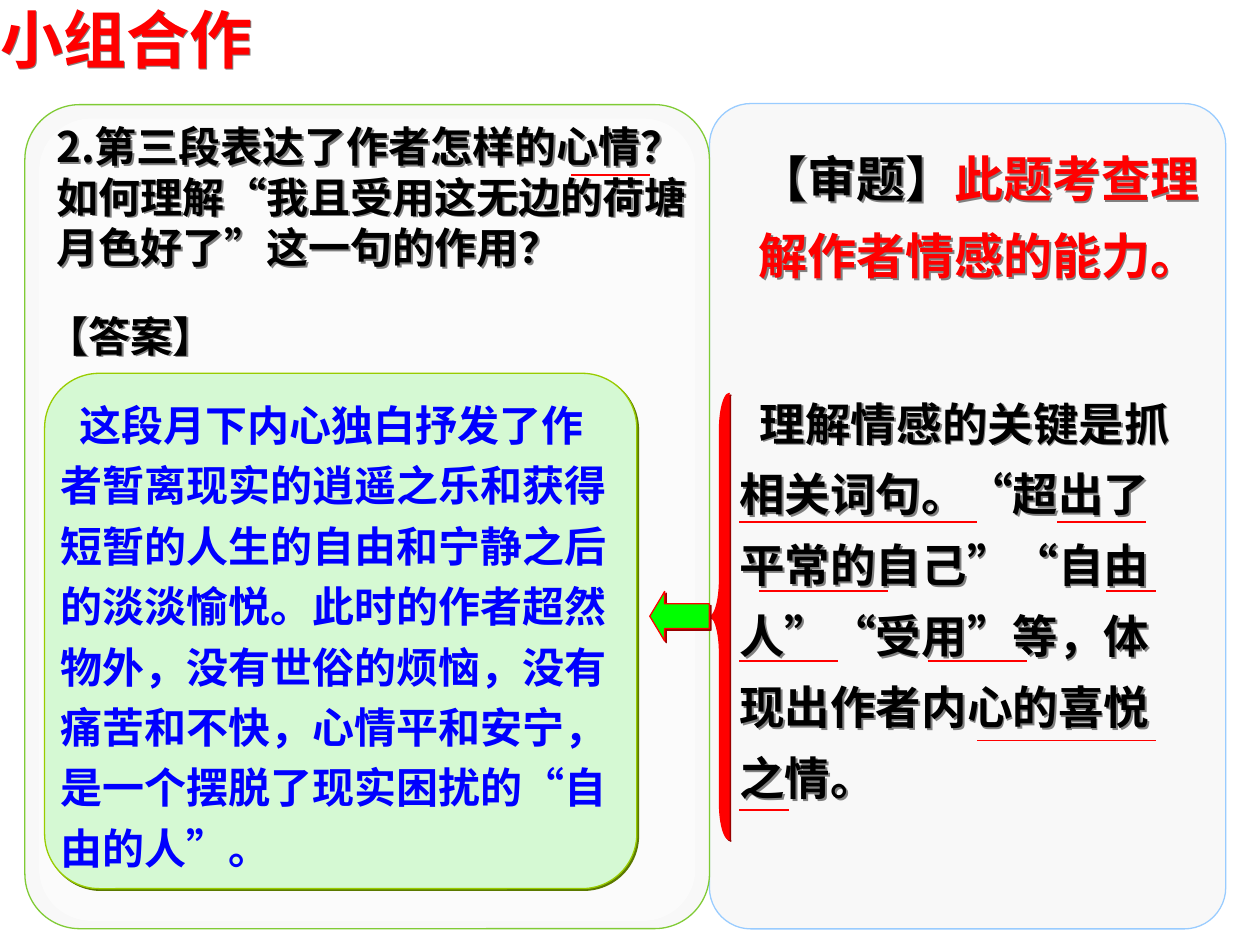
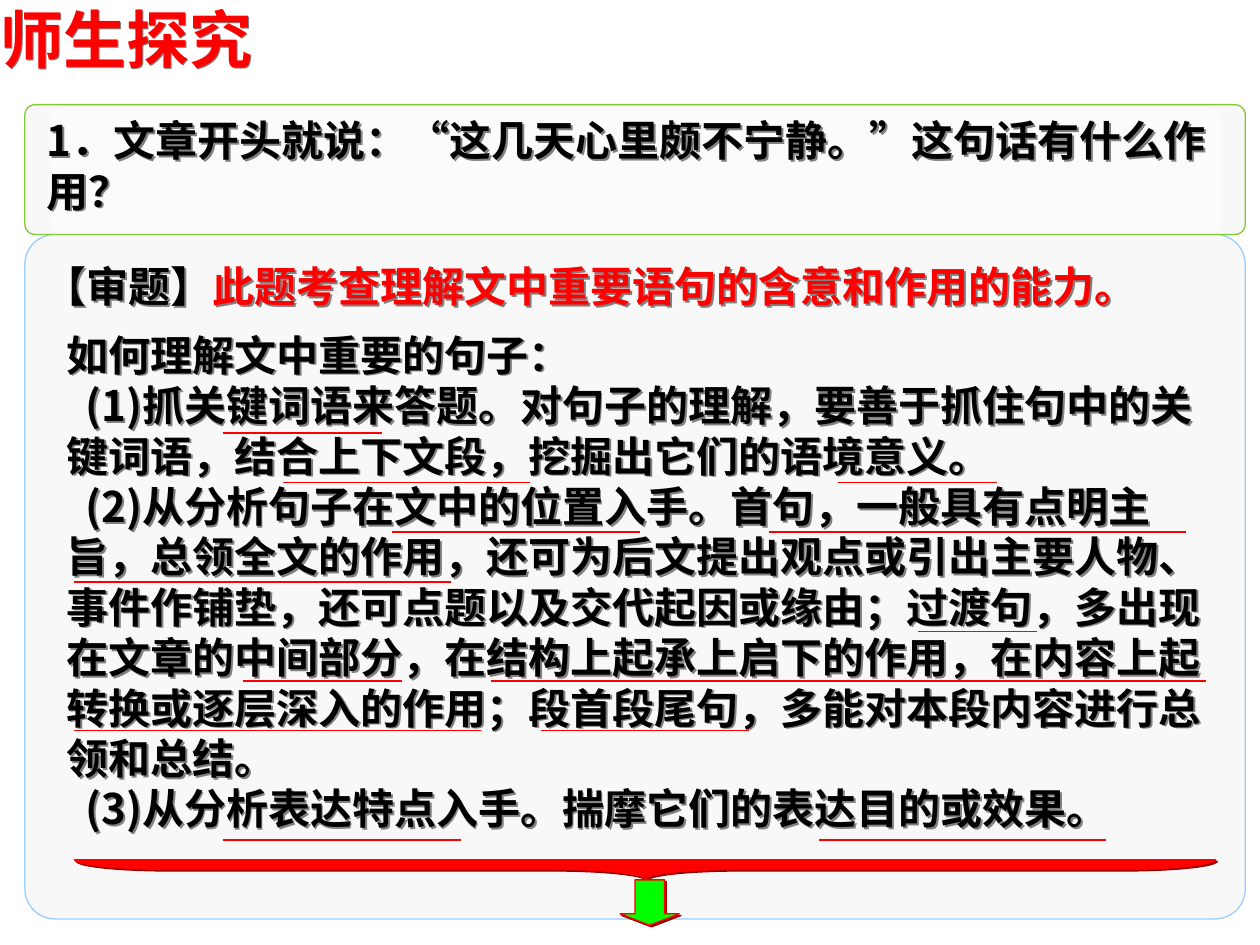
from dataclasses import dataclass
from typing import NamedTuple

from lxml.etree import SubElement
from pptx import Presentation
from pptx.dml.color import RGBColor
from pptx.enum.lang import MSO_LANGUAGE_ID as Language
from pptx.enum.shapes import MSO_CONNECTOR as Connector, MSO_SHAPE as Preset
from pptx.enum.text import MSO_ANCHOR as Anchor, MSO_AUTO_SIZE as AutoSize, PP_ALIGN as Align
from pptx.oxml import parse_xml
from pptx.oxml.ns import nsdecls, qn
from pptx.util import Pt

COLORS = {
    "red": "FF0000",
    "dark_red": "980000",
    "black": "000000",
    "gray": "808080",
    "blue": "0000FF",
    "green": "00FF00",
    "panel": "F8F8F8",
    "white": "FFFFFF",
    "leaf": "80CB35",
    "sky": "99CCFF",
    "mint": "D5F9D3",
    "olive": "99CC00",
    "dark_olive": "5B7900",
}
CJK_FONT = "Noto Sans CJK SC"
LATIN_FONT = "Arial"
INDENT_PER_POINT = 0.45


class Box(NamedTuple):
    left: float
    top: float
    width: float
    height: float


class Piece(NamedTuple):
    text: str
    color: str = "black"


class Line(NamedTuple):
    pieces: list[Piece]
    indented: bool = False


@dataclass(frozen=True)
class TextStyle:
    size: float = 24
    font: str = CJK_FONT
    spacing: float = 1.0
    anchor: Anchor = Anchor.TOP
    inset_x: float = 7.2
    inset_y: float = 3.6


@dataclass(frozen=True)
class Figure:
    preset: Preset
    box: Box
    fill: str
    line: str | None = None
    adjustments: tuple[float, ...] = ()
    shadow: str | None = None
    alpha: int = 100
    rotation: float = 0


TITLE = TextStyle(size=36, font=LATIN_FONT, inset_x=0, inset_y=0)
TITLE_BOX = Box(0, 0, 241.2, 43.2)
QUESTION = TextStyle(anchor=Anchor.MIDDLE)
TASK_LABEL = "【审题】"


def rgb(name: str) -> RGBColor:
    return RGBColor.from_string(COLORS[name])


def set_shadow(shape, color: str | None) -> None:
    shape.shadow.inherit = False
    if color:
        effects = shape._element.spPr.find(qn("a:effectLst"))
        shadow = SubElement(effects, qn("a:outerShdw"), dist=str(Pt(1.4)), dir="2700000",
                            algn="tl", rotWithShape="0")
        SubElement(shadow, qn("a:srgbClr"), val=COLORS[color])


def add_run(paragraph, piece: Piece, style: TextStyle) -> None:
    run = paragraph.add_run()
    run.text = piece.text
    font = run.font
    font.size = Pt(style.size)
    font.bold = True
    font.name = style.font
    font.language_id = Language.SIMPLIFIED_CHINESE
    font.color.rgb = rgb(piece.color)
    east_asian = parse_xml(f'<a:ea {nsdecls("a")} typeface="{CJK_FONT}"/>')
    run._r.get_or_add_rPr().find(qn("a:latin")).addnext(east_asian)


def write(shape, lines: list[Line], style: TextStyle) -> None:
    frame = shape.text_frame
    frame.word_wrap = True
    frame.auto_size = AutoSize.NONE
    frame.vertical_anchor = style.anchor
    frame.margin_left = frame.margin_right = Pt(style.inset_x)
    frame.margin_top = frame.margin_bottom = Pt(style.inset_y)
    for index, line in enumerate(lines):
        paragraph = frame.add_paragraph() if index else frame.paragraphs[0]
        indent = style.size * INDENT_PER_POINT if line.indented else 0
        properties = paragraph._p.get_or_add_pPr()
        properties.set("marL", "0")
        properties.set("indent", str(Pt(indent)))
        properties.set("hangingPunct", "0")
        SubElement(properties, qn("a:buNone"))
        paragraph.alignment = Align.LEFT
        paragraph.line_spacing = style.spacing
        paragraph.space_before = Pt(0)
        for piece in line.pieces:
            add_run(paragraph, piece, style)


def write_shadowed(shape, lines: list[Line], style: TextStyle) -> None:
    shape.fill.background()
    set_shadow(shape, "gray")
    write(shape, lines, style)


def add_text(slide, box: Box, lines: list[Line], style: TextStyle) -> None:
    write_shadowed(slide.shapes.add_textbox(*map(Pt, box)), lines, style)


def fill_placeholder(slide, placeholder, box: Box, lines: list[Line], style: TextStyle) -> None:
    slide.shapes._spTree.append(placeholder._element)
    placeholder.left, placeholder.top, placeholder.width, placeholder.height = map(Pt, box)
    write_shadowed(placeholder, lines, style)


def add_title(slide, text: str) -> None:
    fill_placeholder(slide, slide.shapes.title, TITLE_BOX, [Line([Piece(text, "red")])], TITLE)


def add_figure(slide, figure: Figure):
    shape = slide.shapes.add_shape(figure.preset, *map(Pt, figure.box))
    shape.rotation = figure.rotation
    for index, value in enumerate(figure.adjustments):
        shape.adjustments[index] = value
    shape.fill.solid()
    shape.fill.fore_color.rgb = rgb(figure.fill)
    if figure.alpha < 100:
        color = shape._element.spPr.find(qn("a:solidFill"))[0]
        SubElement(color, qn("a:alpha"), val=str(figure.alpha * 1000))
    if figure.line:
        shape.line.color.rgb = rgb(figure.line)
        shape.line.width = Pt(0.75)
    else:
        shape.line.fill.background()
    set_shadow(shape, figure.shadow)
    return shape


def panel(box: Box, line: str, corner: float) -> Figure:
    return Figure(Preset.ROUNDED_RECTANGLE, box, "panel", line, (corner,))


def highlight(box: Box, corner: float) -> Figure:
    return Figure(Preset.ROUNDED_RECTANGLE, box, "white", None, (corner,), alpha=50)


def brace(box: Box, curve: float, rotation: float = 0) -> Figure:
    return Figure(Preset.LEFT_BRACE, box, "red", "red", (curve, 0.5), "dark_red", rotation=rotation)


def arrow(preset: Preset, box: Box, head: float) -> Figure:
    return Figure(preset, box, "green", "red", (0.5, head), "dark_red")


def add_underlines(slide, rows: dict[float, list[tuple[float, float]]]) -> None:
    for y, spans in rows.items():
        for start, end in spans:
            line = slide.shapes.add_connector(Connector.STRAIGHT, Pt(start), Pt(y), Pt(end), Pt(y))
            line.line.color.rgb = rgb("red")
            line.line.width = Pt(1)
            SubElement(line._element.spPr, qn("a:effectLst"))


def build_group_work(presentation) -> None:
    slide = presentation.slides.add_slide(presentation.slide_layouts[5])
    for figure in (
        panel(Box(405.4, 59.2, 295, 471.6), "sky", 0.08),
        panel(Box(14.2, 59.8, 391.2, 470.9), "leaf", 0.08),
        highlight(Box(22.3, 67.7, 375.1, 458.6), 0.08),
    ):
        add_figure(slide, figure)
    add_title(slide, "小组合作")
    add_text(slide, Box(25.2, 65.5, 385.9, 93.6), [Line([Piece(
        "2.第三段表达了作者怎样的心情？如何理解“我且受用这无边的荷塘月色好了”这一句的作用？"
    )])], QUESTION)
    answer = add_figure(slide, Figure(
        Preset.ROUNDED_RECTANGLE, Box(25.5, 213.3, 338.4, 294.5), "mint", "olive",
        (0.106,), "dark_olive"))
    write(answer, [Line([Piece(
        "这段月下内心独白抒发了作者暂离现实的逍遥之乐和获得短暂的人生的自由和宁静之后的"
        "淡淡愉悦。此时的作者超然物外，没有世俗的烦恼，没有痛苦和不快，心情平和安宁，"
        "是一个摆脱了现实困扰的“自由的人”。", "blue")], indented=True)],
        TextStyle(spacing=1.2, anchor=Anchor.MIDDLE, inset_x=0, inset_y=0))
    add_text(slide, Box(433.6, 71.5, 254.9, 95), [Line([
        Piece(TASK_LABEL), Piece("此题考查理解作者情感的能力。", "red")])],
        TextStyle(size=28, font=LATIN_FONT, spacing=1.3, inset_x=0))
    add_text(slide, Box(422.6, 213.1, 254.9, 250.6), [Line([Piece(
        "理解情感的关键是抓相关词句。“超出了平常的自己”“自由人”“受用”等，"
        "体现出作者内心的喜悦之情。")], indented=True)],
        TextStyle(size=26, spacing=1.3, inset_x=0))
    add_underlines(slide, {
        100.1: [(326.2, 371.5)],
        298.2: [(422.4, 558.4), (604.1, 654.8)],
        337.9: [(433.7, 507.6), (632.2, 660.4)],
        377.6: [(422.4, 478.8), (530.1, 586.8)],
        423.2: [(558.5, 660.4)],
        462.7: [(422.4, 450.7)],
    })
    add_figure(slide, brace(Box(405.4, 224.8, 11.5, 255), 1.83))
    add_figure(slide, arrow(Preset.LEFT_ARROW, Box(371.3, 338, 34, 28.3), 0.3))
    add_text(slide, Box(19.6, 173.7, 118.8, 36), [Line([Piece("【答案】")])],
             TextStyle(font=LATIN_FONT))


def build_inquiry(presentation) -> None:
    slide = presentation.slides.add_slide(presentation.slide_layouts[1])
    for figure in (
        panel(Box(14.2, 133.9, 697.4, 391.2), "sky", 0.044),
        panel(Box(14.2, 59.8, 697.4, 74.2), "leaf", 0.08),
        highlight(Box(28.8, 61.2, 668.9, 72), 0.08),
    ):
        add_figure(slide, figure)
    add_title(slide, "师生探究")
    add_text(slide, Box(19.6, 65.5, 686.2, 57.6), [Line([Piece(
        "1．文章开头就说：“这几天心里颇不宁静。”这句话有什么作用？")])],
        TextStyle(anchor=Anchor.MIDDLE, inset_y=0))
    add_text(slide, Box(25.4, 145.4, 663.1, 36), [Line([
        Piece(TASK_LABEL), Piece("此题考查理解文中重要语句的含意和作用的能力。", "red")])],
        TextStyle(font=LATIN_FONT, inset_x=0))
    methods = (
        "(1)抓关键词语来答题。对句子的理解，要善于抓住句中的关键词语，结合上下文段，"
        "挖掘出它们的语境意义。",
        "(2)从分析句子在文中的位置入手。首句，一般具有点明主旨，总领全文的作用，"
        "还可为后文提出观点或引出主要人物、事件作铺垫，还可点题以及交代起因或缘由；"
        "过渡句，多出现在文章的中间部分，在结构上起承上启下的作用，在内容上起转换或"
        "逐层深入的作用；段首段尾句，多能对本段内容进行总领和总结。",
        "(3)从分析表达特点入手。揣摩它们的表达目的或效果。",
    )
    lines = [Line([Piece("如何理解文中重要的句子：")])]
    lines += [Line([Piece(method)], indented=True) for method in methods]
    fill_placeholder(slide, slide.placeholders[1], Box(31, 184.5, 668.9, 295.2), lines, QUESTION)
    add_underlines(slide, {
        247.4: [(127.4, 218.2)],
        275.8: [(161.5, 303.1), (478.8, 569.5)],
        304.1: [(223.9, 365.8), (439.4, 677.5)],
        332.5: [(42.5, 257.8)],
        360.8: [(524.4, 592.6)],
        389.1: [(139, 229.7), (280.8, 689)],
        417.5: [(42.5, 275), (309, 428)],
        479.8: [(127.4, 263.5), (468, 632.2)],
    })
    add_figure(slide, brace(Box(362.9, 170.6, 11.5, 652.3), 4.7, rotation=270))
    add_figure(slide, arrow(Preset.DOWN_ARROW, Box(354.4, 502.8, 33.8, 25.9), 0.25))


def main() -> None:
    presentation = Presentation()
    presentation.slide_width, presentation.slide_height = Pt(720), Pt(540)
    build_group_work(presentation)
    build_inquiry(presentation)
    presentation.save("out.pptx")


if __name__ == "__main__":
    main()
